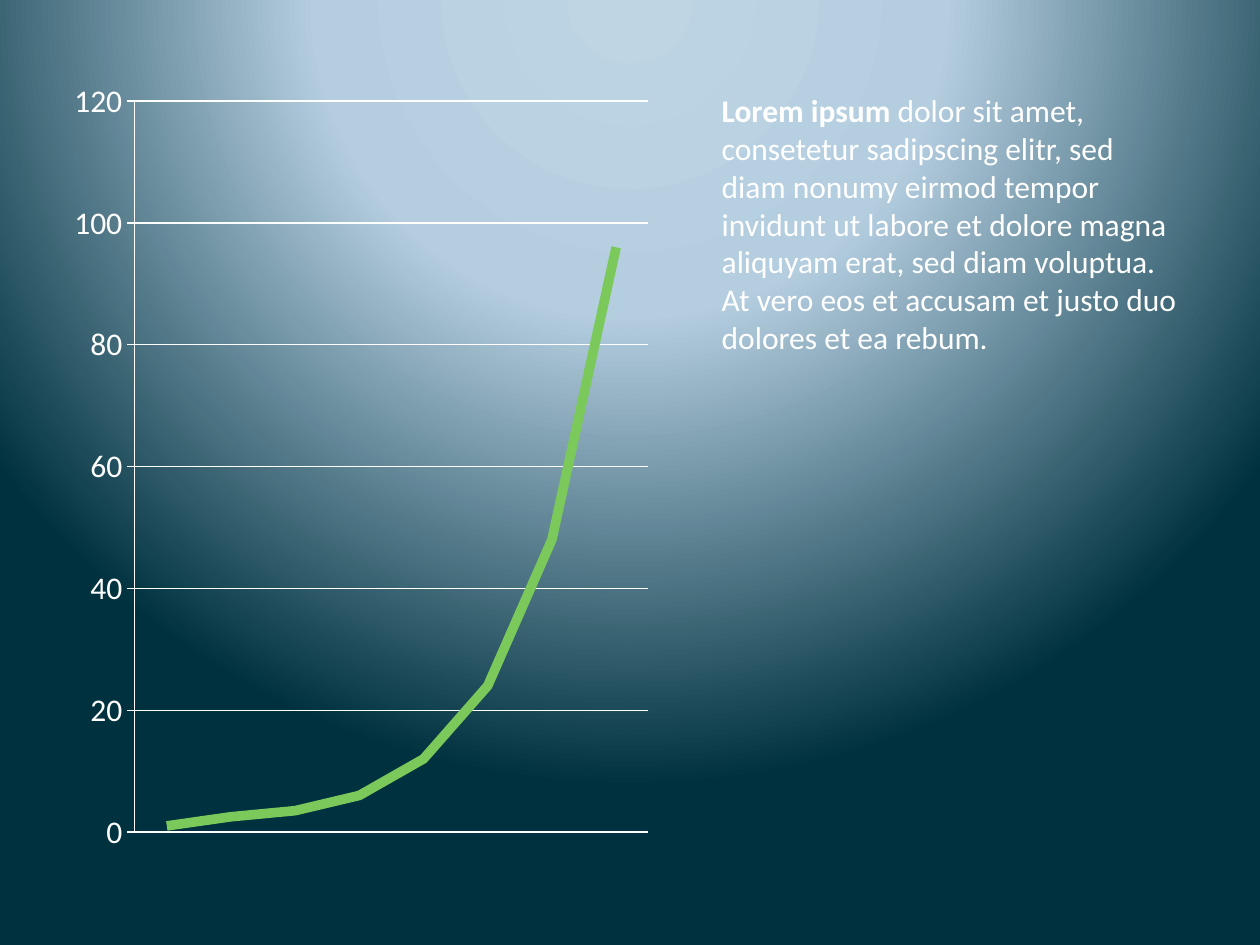
from dataclasses import dataclass

from pptx import Presentation
from pptx.chart.data import CategoryChartData
from pptx.dml.color import RGBColor
from pptx.enum.chart import XL_CHART_TYPE, XL_MARKER_STYLE, XL_TICK_MARK
from pptx.enum.text import MSO_AUTO_SIZE
from pptx.oxml import parse_xml
from pptx.oxml.ns import nsdecls
from pptx.util import Inches, Pt

LINE_CHART = XL_CHART_TYPE.LINE
NO_MARKER = XL_MARKER_STYLE.NONE
TICK_OUTSIDE = XL_TICK_MARK.OUTSIDE
FIT_SHAPE = MSO_AUTO_SIZE.SHAPE_TO_FIT_TEXT
BLANK_LAYOUT = 6
WIDTH, HEIGHT = Inches(10), Inches(7.5)


@dataclass(frozen=True)
class Theme:
    font: str = "Calibri"
    size: int = 18
    ink: str = "FFFFFF"
    curve: str = "7AC95A"
    curve_width: float = 5.5
    rule_width: float = 0.75
    glow: tuple = ((0, "BFD5E4"), (40, "B4CEE0"), (100, "00313F"))


THEME = Theme()
VALUES = (1, 2.5, 3.5, 6, 12, 24, 48, 96)
LEAD = "Lorem ipsum "
BODY = (
    "dolor sit amet, consetetur sadipscing elitr, sed diam nonumy eirmod tempor "
    "invidunt ut labore et dolore magna aliquyam erat, sed diam voluptua. "
    "At vero eos et accusam et justo duo dolores et ea rebum."
)


def share(left, top, width, height):
    """Turn shares of the slide's size into a box of lengths."""
    return (int(left * WIDTH), int(top * HEIGHT),
            int(width * WIDTH), int(height * HEIGHT))


def style_font(font, bold=False):
    font.name = THEME.font
    font.size = Pt(THEME.size)
    font.bold = bold
    font.color.rgb = RGBColor.from_string(THEME.ink)


def style_line(line, color, width):
    line.color.rgb = RGBColor.from_string(color)
    line.width = Pt(width)


def add_text(para, text, **style):
    span = para.add_run()
    span.text = text
    style_font(span.font, **style)


def paint_background(page):
    """Radial glow centred above the top edge."""
    stops = "".join(
        f'<a:gs pos="{position * 1000}"><a:srgbClr val="{color}"/></a:gs>'
        for position, color in THEME.glow
    )
    glow = parse_xml(
        f'<a:gradFill {nsdecls("a")} rotWithShape="1"><a:gsLst>{stops}</a:gsLst>'
        '<a:path path="circle">'
        '<a:fillToRect l="50000" t="-80000" r="50000" b="180000"/>'
        '</a:path></a:gradFill>'
    )
    fill = page.background.fill
    fill.gradient()
    plain = page.element.find(".//" + glow.tag)
    plain.getparent().replace(plain, glow)


def fix_plot_area(chart, **shares):
    """Pin the inner plot area to shares of the chart's box."""
    sizes = "".join(f'<c:{key} val="{value}"/>' for key, value in shares.items())
    layout = parse_xml(
        f'<c:layout {nsdecls("c")}><c:manualLayout><c:layoutTarget val="inner"/>'
        f'<c:xMode val="edge"/><c:yMode val="edge"/>{sizes}'
        '</c:manualLayout></c:layout>'
    )
    plot_area = chart.element.chart.plotArea
    for old in plot_area.findall(layout.tag):
        plot_area.remove(old)
    plot_area.insert(0, layout)


def add_growth_chart(page, area):
    data = CategoryChartData()
    data.categories = [str(step) for step in range(1, len(VALUES) + 1)]
    data.add_series("Series 1", VALUES)
    chart = page.shapes.add_chart(LINE_CHART, *area, data).chart
    chart.has_legend = False
    chart.has_title = False
    style_font(chart.font)
    fix_plot_area(chart, x=0.12, y=0.04, w=0.86, h=0.91)

    chart.category_axis.visible = False
    axis = chart.value_axis
    axis.minimum_scale, axis.maximum_scale, axis.major_unit = 0, 120, 20
    axis.major_tick_mark = TICK_OUTSIDE
    axis.has_major_gridlines = True
    for rule in (axis.format.line, axis.major_gridlines.format.line):
        style_line(rule, THEME.ink, THEME.rule_width)

    chart.plots[0].vary_by_categories = False
    curve = chart.plots[0].series[0]
    curve.smooth = False
    curve.marker.style = NO_MARKER
    style_line(curve.format.line, THEME.curve, THEME.curve_width)


def add_commentary(page, area):
    box = page.shapes.add_textbox(*area)
    frame = box.text_frame
    frame.word_wrap = True
    frame.auto_size = FIT_SHAPE
    para = frame.paragraphs[0]
    add_text(para, LEAD, bold=True)
    add_text(para, BODY)


def main():
    deck = Presentation()
    deck.slide_width, deck.slide_height = WIDTH, HEIGHT
    page = deck.slides.add_slide(deck.slide_layouts[BLANK_LAYOUT])
    paint_background(page)
    add_growth_chart(page, share(0.05, 0.073, 0.474, 0.85))
    add_commentary(page, share(0.563, 0.09, 0.386, 0.296))
    deck.save("out.pptx")


if __name__ == "__main__":
    main()
